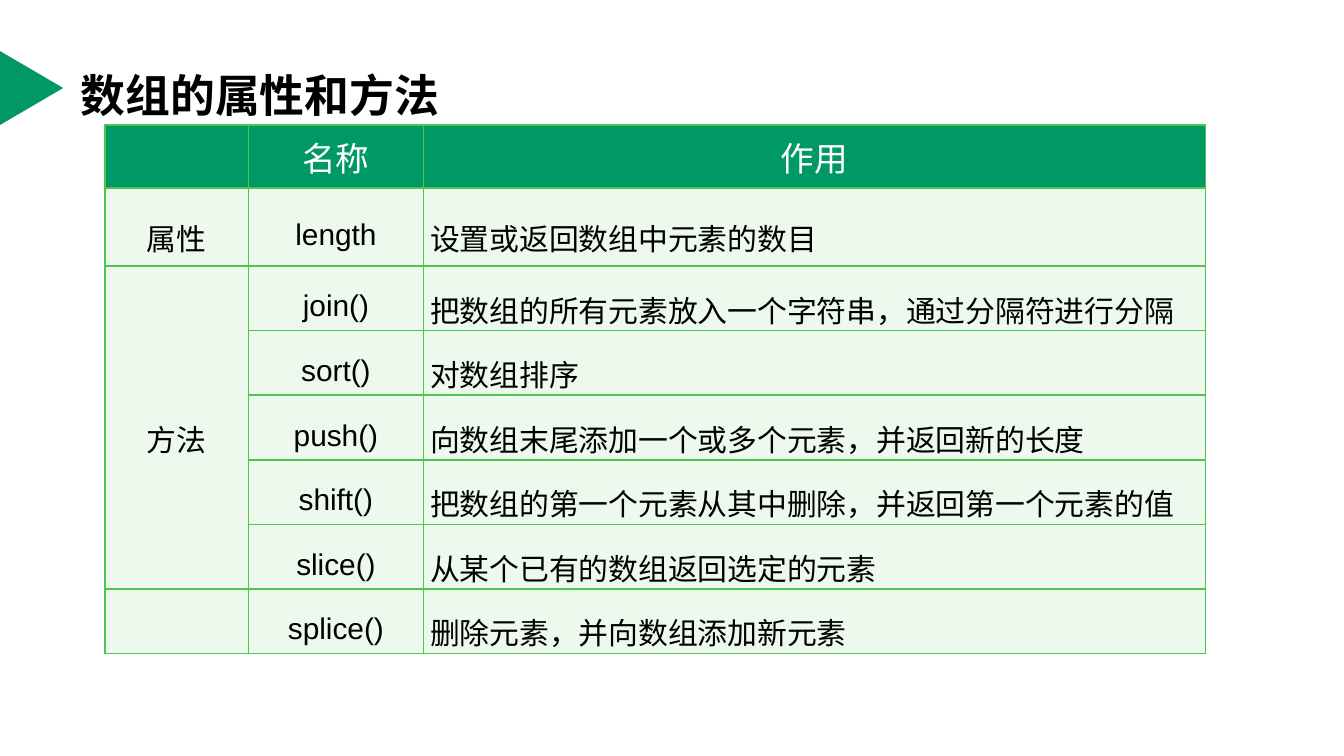
from pptx import Presentation
from pptx.dml.color import RGBColor
from pptx.enum.shapes import MSO_SHAPE as Shape
from pptx.enum.text import MSO_ANCHOR as Anchor, PP_ALIGN as Align
from pptx.oxml import parse_xml
from pptx.oxml.ns import nsdecls
from pptx.util import Inches, Pt

TITLE = "数组的属性和方法"
ROWS = [
    ("", "名称", "作用"),
    ("属性", "length", "设置或返回数组中元素的数目"),
    ("方法", "join()", "把数组的所有元素放入一个字符串，通过分隔符进行分隔"),
    ("", "sort()", "对数组排序"),
    ("", "push()", "向数组末尾添加一个或多个元素，并返回新的长度"),
    ("", "shift()", "把数组的第一个元素从其中删除，并返回第一个元素的值"),
    ("", "slice()", "从某个已有的数组返回选定的元素"),
    ("", "splice()", "删除元素，并向数组添加新元素"),
]
WIDTHS = (1.07, 1.3, 5.82)
HIGH = 0.47
GREEN, PALE, EDGE = "009966", "EDF9ED", "4FC54F"
WHITE, BLACK = "FFFFFF", "000000"
HAN, LATIN = "Noto Sans CJK SC", "Arial"


def paint(target, color):
    target.solid()
    target.fore_color.rgb = RGBColor.from_string(color)


def write(frame, text, size=16, color=BLACK, font=HAN, bold=False,
          align=Align.CENTER, lead=None):
    para = frame.paragraphs[0]
    para.alignment = align
    para.line_spacing = lead
    run = para.add_run()
    run.text = text
    run.font.size = Pt(size)
    run.font.bold = bold
    run.font.name = font
    paint(run.font.fill, color)
    run.font._element.find("{*}latin").addnext(
        parse_xml(f'<a:ea {nsdecls("a")} typeface="{HAN}"/>'))


def edge(cell):
    props = cell._tc.get_or_add_tcPr()
    for side in "LRTB":
        props.append(parse_xml(
            f'<a:ln{side} {nsdecls("a")} w="12700"><a:solidFill>'
            f'<a:srgbClr val="{EDGE}"/></a:solidFill></a:ln{side}>'))


deck = Presentation()
deck.slide_width = Inches(10)
deck.slide_height = Inches(10 * 9 / 16)
slide = deck.slides.add_slide(deck.slide_layouts[5])

mark = slide.shapes.add_shape(
    Shape.ISOSCELES_TRIANGLE, Inches(-0.04), Inches(0.42), Inches(0.55), Inches(0.47))
mark.rotation = 90
mark.shadow.inherit = False
paint(mark.fill, GREEN)
mark.line.fill.background()

title = slide.shapes.title
title.left, title.top, title.width, title.height = map(Inches, (0.5, 0.23, 9, 0.94))
title.text_frame.vertical_anchor = Anchor.MIDDLE
write(title.text_frame, TITLE, size=24, bold=True, align=Align.LEFT)

table = slide.shapes.add_table(
    len(ROWS), len(WIDTHS), Inches(0.78), Inches(0.93),
    Inches(sum(WIDTHS)), Inches(HIGH * len(ROWS))).table
for col, wide in zip(table.columns, WIDTHS):
    col.width = Inches(wide)
for r, row in enumerate(ROWS):
    table.rows[r].height = Inches(HIGH)
    for c, text in enumerate(row):
        cell = table.cell(r, c)
        edge(cell)
        paint(cell.fill, PALE if r else GREEN)
        cell.vertical_anchor = Anchor.MIDDLE
        tight = r > 0 and c > 0
        cell.margin_left = cell.margin_right = Inches(0.05 if tight else 0.1)
        cell.margin_top = cell.margin_bottom = Inches(0 if tight else 0.05)
        if text and r:
            write(cell.text_frame, text, font=LATIN if tight else HAN, lead=1.5,
                  align=Align.LEFT if c == 2 else Align.CENTER)
        elif text:
            write(cell.text_frame, text, size=18, color=WHITE)
table.cell(2, 0).merge(table.cell(6, 0))

deck.save("out.pptx")
